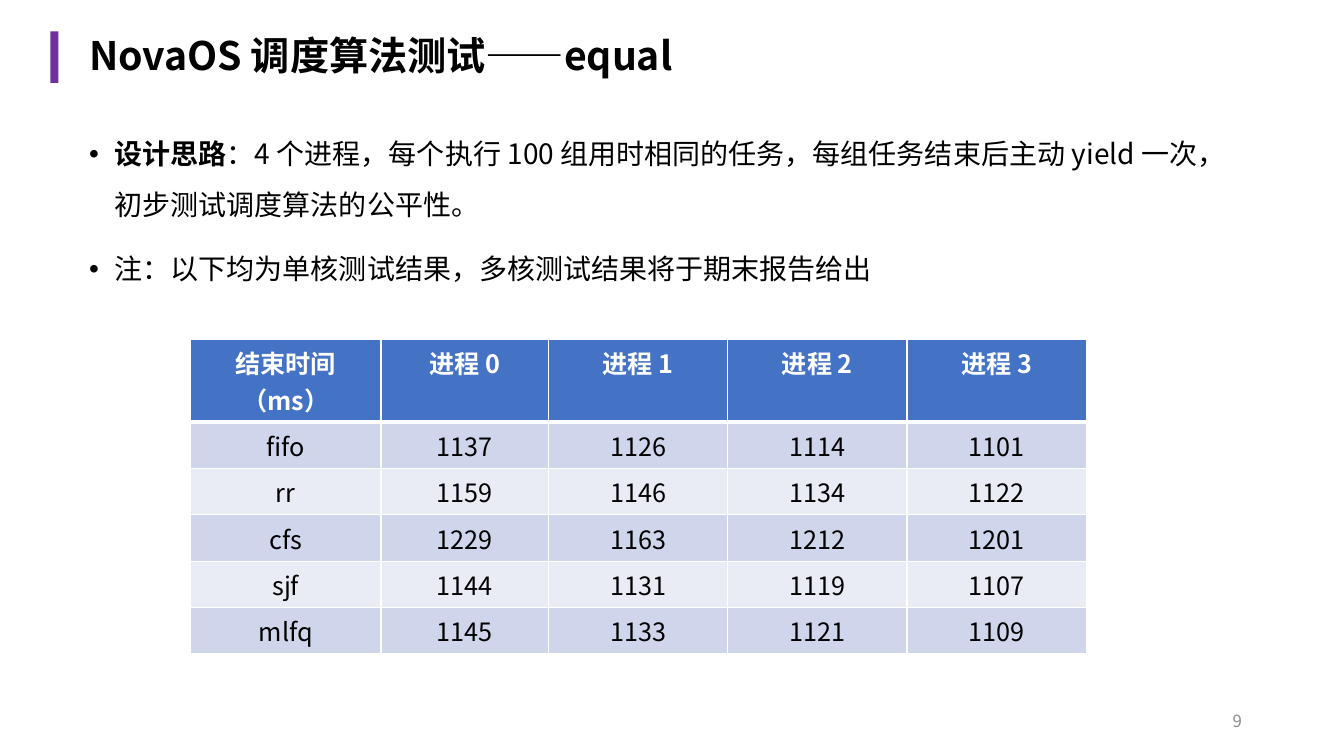
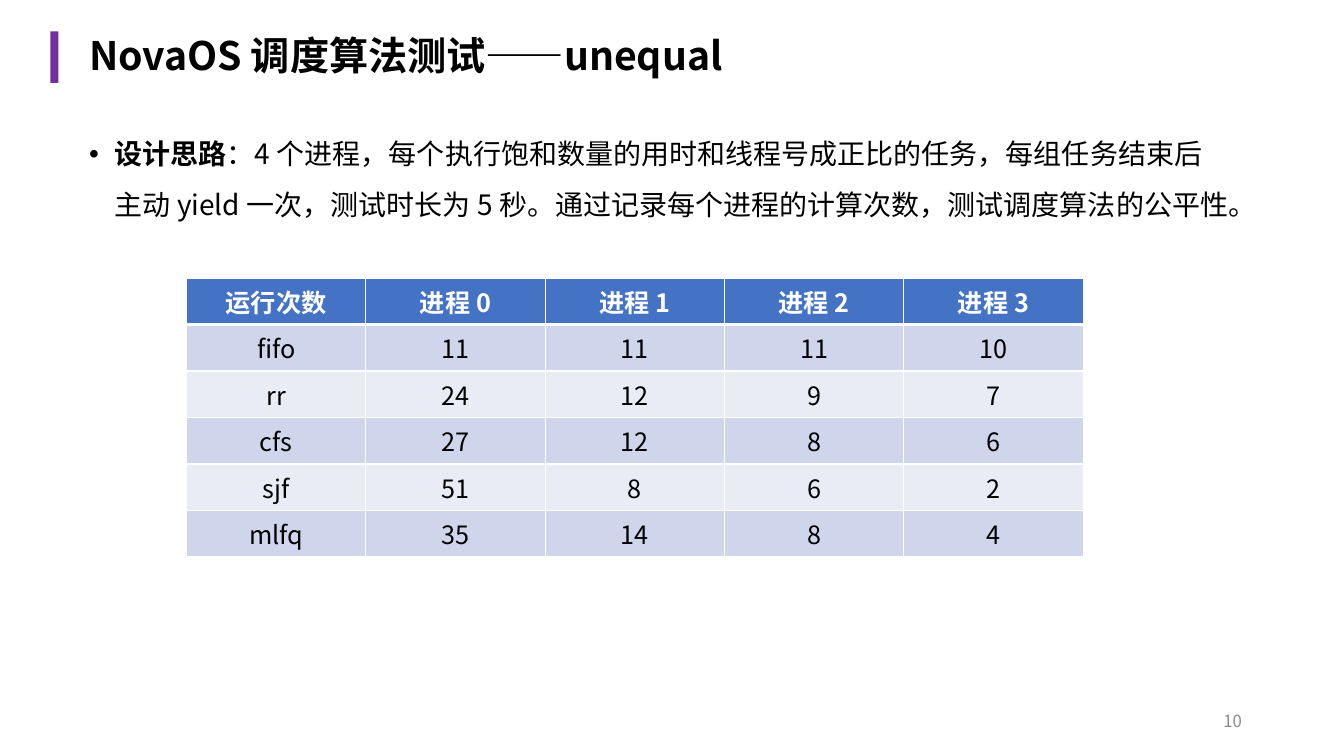
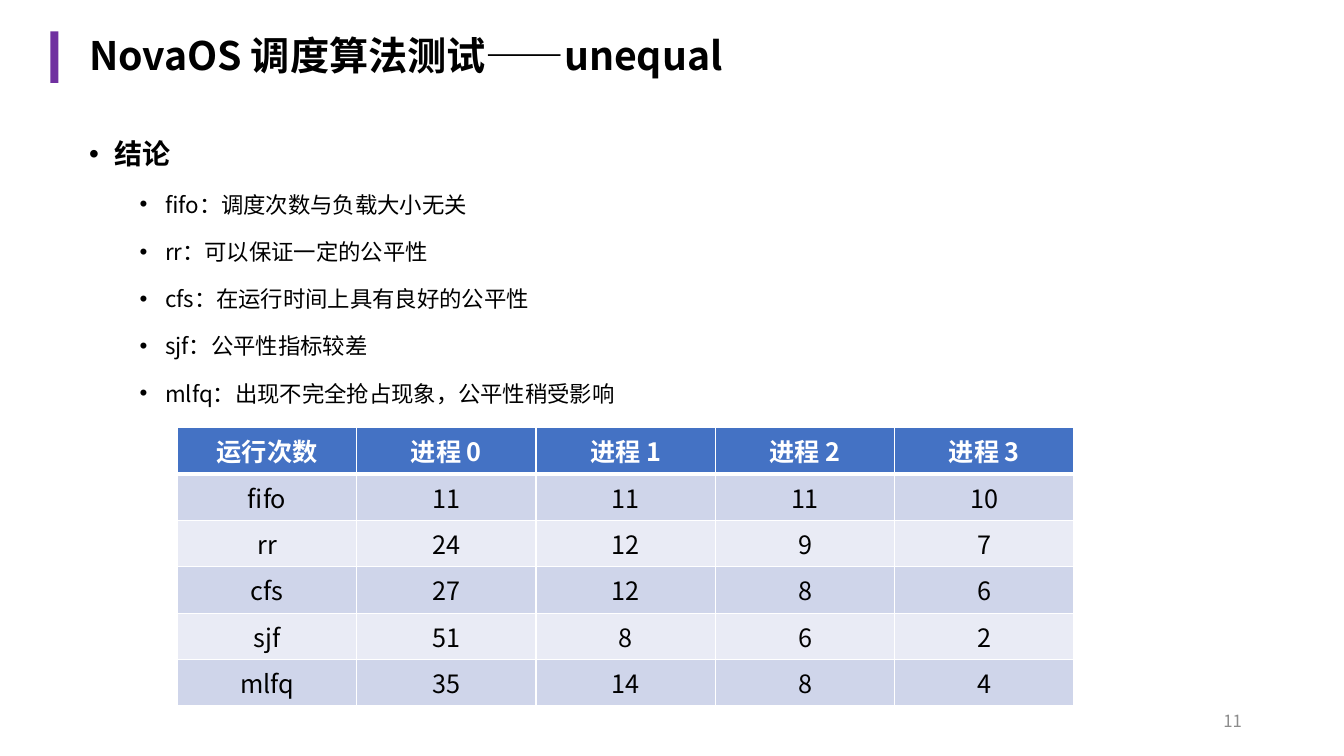
from dataclasses import dataclass

from lxml.etree import SubElement
from pptx import Presentation
from pptx.dml.color import RGBColor
from pptx.enum.lang import MSO_LANGUAGE_ID as Language
from pptx.enum.shapes import MSO_SHAPE as Shape
from pptx.enum.text import MSO_ANCHOR as Anchor, PP_ALIGN as Align
from pptx.oxml.ns import qn
from pptx.util import Cm, Pt

# Content: body paragraphs are (level, [(text, bold), ...])
TITLE = "NovaOS 调度算法测试——"
PROCESSES = ["进程 0", "进程 1", "进程 2", "进程 3"]
EQUAL_TIMES = [
    ["结束时间（ms）", *PROCESSES],
    ["fifo", 1137, 1126, 1114, 1101],
    ["rr", 1159, 1146, 1134, 1122],
    ["cfs", 1229, 1163, 1212, 1201],
    ["sjf", 1144, 1131, 1119, 1107],
    ["mlfq", 1145, 1133, 1121, 1109],
]
UNEQUAL_RUNS = [
    ["运行次数", *PROCESSES],
    ["fifo", 11, 11, 11, 10],
    ["rr", 24, 12, 9, 7],
    ["cfs", 27, 12, 8, 6],
    ["sjf", 51, 8, 6, 2],
    ["mlfq", 35, 14, 8, 4],
]
EVEN_COLUMNS = [4.52] * 5
ROW_HEIGHT = 1.17
TWO_LINE_HEIGHT = 2.07
SLIDES = [
    {
        "test": "equal",
        "number": 9,
        "body": [
            (0, [("设计思路", True),
                 ("：4 个进程，每个执行 100 组用时相同的任务，每组任务结束后主动 yield "
                  "一次，初步测试调度算法的公平性。", False)]),
            (0, [("注：以下均为单核测试结果，多核测试结果将于期末报告给出", False)]),
        ],
        "table": EQUAL_TIMES,
        "table_at": (4.8, 8.56),
        "columns": [4.8, 4.22, 4.52, 4.52, 4.52],
        "header_height": TWO_LINE_HEIGHT,
    },
    {
        "test": "unequal",
        "number": 10,
        "body": [
            (0, [("设计思路", True),
                 ("：4 个进程，每个执行饱和数量的用时和线程号成正比的任务，每组任务结束后主动 "
                  "yield 一次，测试时长为 5 秒。通过记录每个进程的计算次数，"
                  "测试调度算法的公平性。", False)]),
        ],
        "table": UNEQUAL_RUNS,
        "table_at": (4.7, 7.01),
        "columns": EVEN_COLUMNS,
        "header_height": ROW_HEIGHT,
    },
    {
        "test": "unequal",
        "number": 11,
        "body": [
            (0, [("结论", True)]),
            (1, [("fifo：调度次数与负载大小无关", False)]),
            (1, [("rr：可以保证一定的公平性", False)]),
            (1, [("cfs：在运行时间上具有良好的公平性", False)]),
            (1, [("sjf：公平性指标较差", False)]),
            (1, [("mlfq：出现不完全抢占现象，公平性稍受影响", False)]),
        ],
        "table": UNEQUAL_RUNS,
        "table_at": (4.47, 10.77),
        "columns": EVEN_COLUMNS,
        "header_height": ROW_HEIGHT,
    },
]


@dataclass(frozen=True)
class Theme:
    """Colours, font and type sizes shared by all slides."""
    font: str = "Noto Sans CJK SC"
    text: str = "000000"
    white: str = "FFFFFF"
    accent: str = "7030A0"
    muted: str = "8C8C8C"
    header: str = "4472C4"
    bands: tuple = ("E9EBF5", "CFD5EA")
    title_size: int = 28
    body_sizes: tuple = (20, 16)
    body_spacing: tuple = (10, 5)
    table_size: int = 18
    number_size: int = 12


THEME = Theme()
TITLE_BOX = (2, 0.38, 18, 2.16)
BODY_BOX = (2, 2.9, 29.21, 12.09)
BAR_BOX = (1.27, 0.79, 0.2, 1.3)
NUMBER_BOX = (23.93, 17.65, 7.62, 1.02)
BULLET_INDENTS = (0.64, 1.91)


def add_run(paragraph, text, size, color=THEME.text, bold=False):
    """Add one styled run, with the font set for both scripts."""
    run = paragraph.add_run()
    run.text = text
    font = run.font
    font.name, font.size, font.bold = THEME.font, Pt(size), bold
    font.color.rgb = RGBColor.from_string(color)
    font.language_id = Language.SIMPLIFIED_CHINESE
    SubElement(font._element, qn("a:ea"), typeface=THEME.font)


def add_text_frame(slide, box, anchor=Anchor.TOP):
    """Add a wrapping text box and return its text frame."""
    frame = slide.shapes.add_textbox(*map(Cm, box)).text_frame
    frame.word_wrap = True
    frame.vertical_anchor = anchor
    return frame


def add_title(slide, text):
    """Add the accent bar and the bold title beside it."""
    bar = slide.shapes.add_shape(Shape.RECTANGLE, *map(Cm, BAR_BOX))
    bar.shadow.inherit = False
    bar.fill.solid()
    bar.fill.fore_color.rgb = RGBColor.from_string(THEME.accent)
    bar.line.fill.background()
    paragraph = add_text_frame(slide, TITLE_BOX, Anchor.MIDDLE).paragraphs[0]
    paragraph.line_spacing = 0.9
    add_run(paragraph, text, THEME.title_size, bold=True)


def add_page_number(slide, number):
    """Add the right-aligned page number."""
    paragraph = add_text_frame(slide, NUMBER_BOX, Anchor.MIDDLE).paragraphs[0]
    paragraph.alignment = Align.RIGHT
    add_run(paragraph, str(number), THEME.number_size, THEME.muted)


def set_bullet(paragraph, level):
    """Give a paragraph a round bullet with a hanging indent."""
    properties = paragraph._p.get_or_add_pPr()
    properties.set("marL", str(Cm(BULLET_INDENTS[level])))
    properties.set("indent", str(-Cm(BULLET_INDENTS[0])))
    SubElement(properties, qn("a:buFont"), typeface="Arial")
    SubElement(properties, qn("a:buChar"), char="•")


def add_body(slide, items):
    """Add the bulleted paragraphs."""
    frame = add_text_frame(slide, BODY_BOX)
    for index, (level, runs) in enumerate(items):
        paragraph = frame.add_paragraph() if index else frame.paragraphs[0]
        paragraph.level = level
        paragraph.line_spacing = 1.5
        paragraph.space_before = Pt(THEME.body_spacing[level])
        set_bullet(paragraph, level)
        for text, bold in runs:
            add_run(paragraph, text, THEME.body_sizes[level], bold=bold)


def set_borders(cell, row_index):
    """Draw white cell borders, heavier below the header row."""
    properties = cell._tc.get_or_add_tcPr()
    widths = {"lnL": 1, "lnR": 1,
              "lnT": 3 if row_index == 1 else 1,
              "lnB": 3 if row_index == 0 else 1}
    for side, width in widths.items():
        line = SubElement(properties, qn(f"a:{side}"), w=str(Pt(width)))
        fill = SubElement(line, qn("a:solidFill"))
        SubElement(fill, qn("a:srgbClr"), val=THEME.white)


def add_results(slide, rows, position, columns, header_height):
    """Add the results table with a header and alternating rows."""
    heights = [header_height] + [ROW_HEIGHT] * (len(rows) - 1)
    size = (sum(columns), sum(heights))
    table = slide.shapes.add_table(
        len(rows), len(columns), *map(Cm, position + size)).table
    for column, width in zip(table.columns, columns):
        column.width = Cm(width)
    for row_index, values in enumerate(rows):
        is_header = row_index == 0
        fill = THEME.header if is_header else THEME.bands[row_index % 2]
        color = THEME.white if is_header else THEME.text
        table.rows[row_index].height = Cm(heights[row_index])
        for column_index, value in enumerate(values):
            cell = table.cell(row_index, column_index)
            set_borders(cell, row_index)
            cell.fill.solid()
            cell.fill.fore_color.rgb = RGBColor.from_string(fill)
            paragraph = cell.text_frame.paragraphs[0]
            paragraph.alignment = Align.CENTER
            add_run(paragraph, str(value), THEME.table_size, color, is_header)


def build():
    """Build and save the presentation."""
    presentation = Presentation()
    presentation.slide_width, presentation.slide_height = Cm(33.87), Cm(19.05)
    blank = presentation.slide_layouts[6]
    for content in SLIDES:
        slide = presentation.slides.add_slide(blank)
        add_title(slide, TITLE + content["test"])
        add_body(slide, content["body"])
        add_page_number(slide, content["number"])
        add_results(slide, content["table"], content["table_at"],
                    content["columns"], content["header_height"])
    presentation.save("out.pptx")


build()
